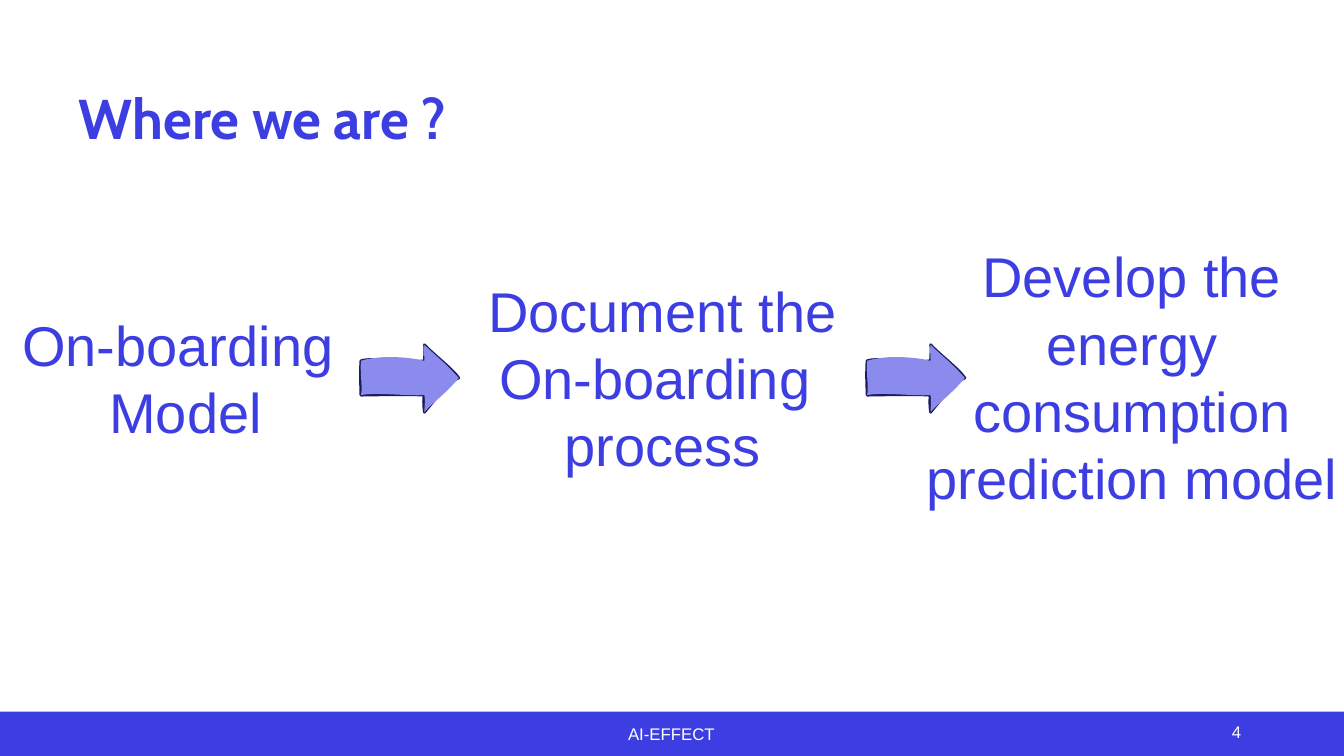
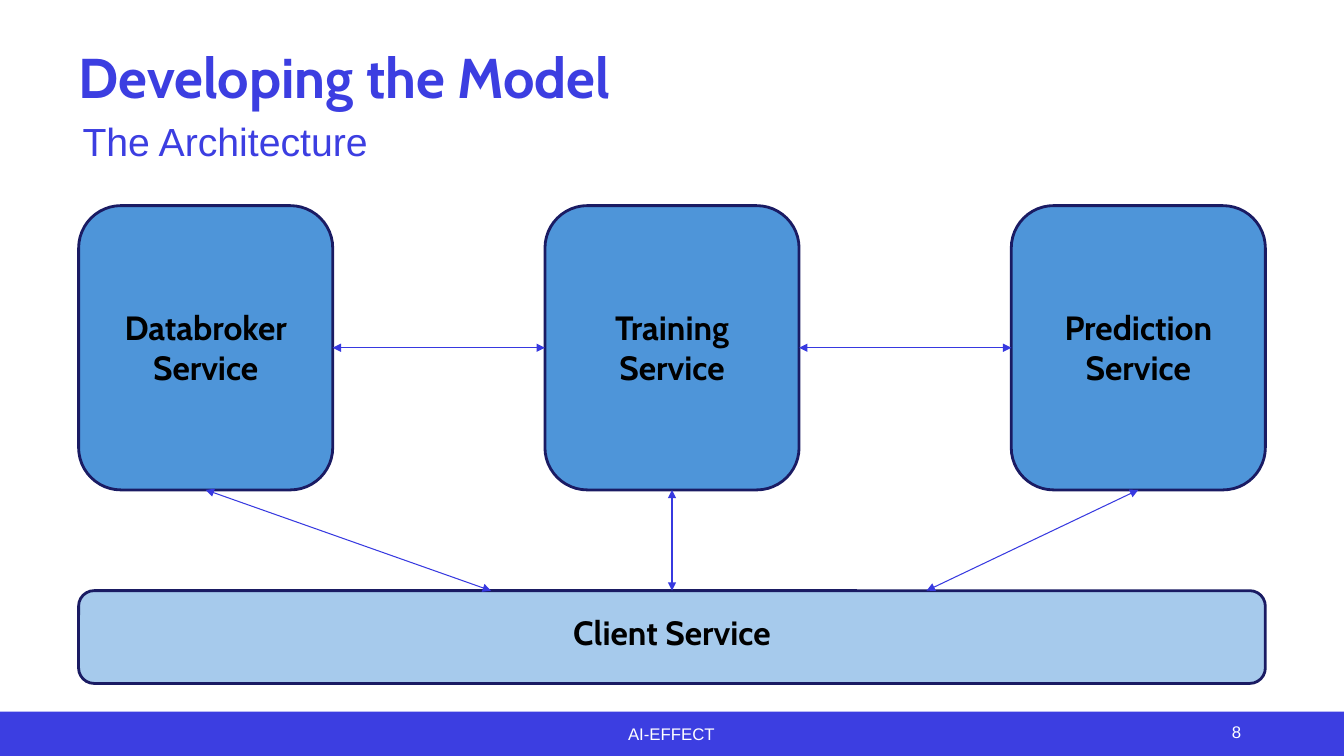
from dataclasses import dataclass

from lxml import etree
from pptx import Presentation
from pptx.dml.color import RGBColor
from pptx.enum import shapes, text
from pptx.oxml.ns import qn
from pptx.util import Inches, Pt


@dataclass(frozen=True)
class Theme:
    primary: RGBColor = RGBColor(0x3C, 0x3E, 0xE1)
    connector: RGBColor = RGBColor(0x37, 0x39, 0xE0)
    outline: RGBColor = RGBColor(0x1A, 0x1B, 0x63)
    arrow: RGBColor = RGBColor(0x8A, 0x8B, 0xED)
    service: RGBColor = RGBColor(0x4E, 0x95, 0xD9)
    client: RGBColor = RGBColor(0xA6, 0xCA, 0xEC)
    white: RGBColor = RGBColor(0xFF, 0xFF, 0xFF)
    black: RGBColor = RGBColor(0, 0, 0)
    heading_font: str = "Cabin"
    body_font: str = "Arial"
    title_size: int = 40
    step_size: int = 40
    subtitle_size: int = 28
    label_size: int = 24
    footer_size: int = 12


THEME = Theme()
WIDTH, HEIGHT = 13.33, 7.5
MARGIN = 0.78
CENTER, LEFT, RIGHT = (text.PP_ALIGN.CENTER, text.PP_ALIGN.LEFT,
                       text.PP_ALIGN.RIGHT)
MIDDLE, TOP = text.MSO_ANCHOR.MIDDLE, text.MSO_ANCHOR.TOP
TOP_SITE, LEFT_SITE, BOTTOM_SITE, RIGHT_SITE = range(4)

# Hand-drawn arrow in hundredths of an inch from its top left corner: a start
# point, then cubic curves given as two control points and an end point.
ARROW_START = (0, 16)
ARROW_OUTLINE = [
    ((12, 12), (36, 19), (63, 16)),
    ((63, 14), (64, 2), (63, 0)),
    ((71, 9), (91, 24), (97, 33)),
    ((88, 36), (77, 50), (63, 67)),
    ((62, 60), (62, 52), (63, 50)),
    ((41, 49), (9, 50), (0, 50)),
    ((0, 42), (-1, 32), (0, 16)),
]
ARROW_FILL = [
    ((15, 11), (42, 11), (63, 16)),
    ((63, 9), (62, 6), (63, 0)),
    ((77, 14), (82, 16), (97, 33)),
    ((83, 50), (70, 58), (63, 67)),
    ((63, 59), (64, 57), (63, 50)),
    ((44, 51), (15, 47), (0, 50)),
    ((2, 43), (-1, 30), (0, 16)),
]


def write(tf, lines, size, color, font=THEME.body_font, bold=False,
          align=CENTER):
    for i, line in enumerate(lines):
        p = tf.add_paragraph() if i else tf.paragraphs[0]
        p.alignment = align
        r = p.add_run()
        r.text = line
        r.font.size = Pt(size)
        r.font.name = font
        r.font.bold = bold
        r.font.color.rgb = color


def add_text(slide, box, lines, size, color=THEME.primary, align=CENTER,
             anchor=TOP, wrap=True, grow=True):
    tf = slide.shapes.add_textbox(*map(Inches, box)).text_frame
    tf.word_wrap = wrap
    tf.vertical_anchor = anchor
    if grow:
        tf.auto_size = text.MSO_AUTO_SIZE.SHAPE_TO_FIT_TEXT
    write(tf, lines, size, color, align=align)


def style(sp, fill, line=None):
    """Set the fill and, if given, a 2 pt outline."""
    sp.shadow.inherit = False
    sp.fill.solid()
    sp.fill.fore_color.rgb = fill
    if line is None:
        sp.line.fill.background()
    else:
        sp.line.color.rgb = line
        sp.line.width = Pt(2)


def add_slide(prs, title, title_top, title_width, number):
    """Add a slide with its title and the shared footer band."""
    slide = prs.slides.add_slide(prs.slide_layouts[5])
    sp = slide.shapes.title
    sp.left, sp.top, sp.width, sp.height = map(
        Inches, (MARGIN, title_top, title_width, 0.79))
    tf = sp.text_frame
    tf.margin_left = tf.margin_right = tf.margin_top = tf.margin_bottom = 0
    tf.vertical_anchor = TOP
    tf.auto_size = text.MSO_AUTO_SIZE.NONE
    write(tf, [title], THEME.title_size, THEME.primary, THEME.heading_font,
          bold=True, align=LEFT)
    tf.paragraphs[0].line_spacing = Pt(55.5)

    band = slide.shapes.add_shape(
        shapes.MSO_SHAPE.RECTANGLE,
        *map(Inches, (0, 7.06, WIDTH, HEIGHT - 7.06)))
    style(band, THEME.primary)
    for box, label, align in (((9.41, 7.06, 3, 0.4), str(number), RIGHT),
                              ((4.41, 7.08, 4.5, 0.4), "AI-EFFECT", CENTER)):
        add_text(slide, box, [label], THEME.footer_size, THEME.white, align,
                 MIDDLE, grow=False)
    return slide


def add_curved_path(path_list, curves, **attributes):
    """Append a closed path of cubic curves to a freeform's path list."""
    path = etree.SubElement(path_list, qn("a:path"), w="97", h="67",
                            **attributes)
    for tag, points in [("a:moveTo", [ARROW_START])] + [
            ("a:cubicBezTo", curve) for curve in curves]:
        command = etree.SubElement(path, qn(tag))
        for x, y in points:
            etree.SubElement(command, qn("a:pt"), x=str(x), y=str(y))
    etree.SubElement(path, qn("a:close"))


def add_sketch_arrow(slide, left, top):
    """Draw one freeform whose outline and fill follow different curves."""
    builder = slide.shapes.build_freeform(*ARROW_START, scale=Inches(0.01))
    builder.add_line_segments([curve[-1] for curve in ARROW_OUTLINE])
    sp = builder.convert_to_shape(Inches(left), Inches(top))
    style(sp, THEME.arrow, THEME.outline)
    path_list = sp._element.spPr.find(".//" + qn("a:pathLst"))
    for straight in list(path_list):
        path_list.remove(straight)
    add_curved_path(path_list, ARROW_OUTLINE, fill="none")
    add_curved_path(path_list, ARROW_FILL, stroke="0")


def add_service(slide, box, label, fill, bottom_inset=0.07):
    sp = slide.shapes.add_shape(shapes.MSO_SHAPE.ROUNDED_RECTANGLE,
                                *map(Inches, box))
    style(sp, fill, THEME.outline)
    tf = sp.text_frame
    tf.word_wrap = True
    tf.vertical_anchor = MIDDLE
    tf.margin_bottom = Inches(bottom_inset)
    write(tf, [label], THEME.label_size, THEME.black, THEME.heading_font,
          bold=True)
    return sp


def add_link(slide, source, source_site, end, target=None, target_site=None):
    """Draw a two-headed line from a shape to a point or another shape."""
    line = slide.shapes.add_connector(
        shapes.MSO_CONNECTOR.STRAIGHT, 0, 0, *map(Inches, end))
    line.begin_connect(source, source_site)
    if target is not None:
        line.end_connect(target, target_site)
    line.line.color.rgb = THEME.connector
    line.line.width = Pt(0.75)
    ln = line.line._get_or_add_ln()
    for tag in ("a:headEnd", "a:tailEnd"):
        etree.SubElement(ln, qn(tag), type="triangle")
    etree.SubElement(line._element.spPr, qn("a:effectLst"))


def build_roadmap(prs):
    slide = add_slide(prs, "Where we are ?", 0.72, 7.02, 4)
    steps = [
        ((0.1, 3.03, 3.48, 1.45), ["On-boarding ", "Model"], False),
        ((4.64, 2.69, 3.86, 2.12),
         ["Document the On-boarding ", "process"], True),
        ((8.86, 2.35, 4.73, 2.79),
         ["Develop the energy consumption prediction model"], True),
    ]
    for left in (3.58, 8.6):
        add_sketch_arrow(slide, left, 3.42)
    for box, lines, wrap in steps:
        add_text(slide, box, lines, THEME.step_size, wrap=wrap)


def build_architecture(prs):
    slide = add_slide(prs, "Developing the Model", 0.32, 10.62, 8)
    add_text(slide, (0.72, 1.11, 3.81, 0.57), ["The Architecture"],
             THEME.subtitle_size, align=LEFT)

    names = ["Databroker Service", "Training Service", "Prediction Service"]
    total, width, top, height = 11.77, 2.52, 2.04, 2.82
    pitch = (total - width) / (len(names) - 1)
    services = [
        add_service(slide, (MARGIN + i * pitch, top, width, height), name,
                    THEME.service)
        for i, name in enumerate(names)]
    client_top = 5.86
    client = add_service(slide, (MARGIN, client_top, total, 0.92),
                         "Client Service", THEME.client, bottom_inset=0.15)

    for a, b in zip(services, services[1:]):
        add_link(slide, a, RIGHT_SITE, (0, 0), b, LEFT_SITE)
    databroker, training, prediction = services
    add_link(slide, training, BOTTOM_SITE, (0, 0), client, TOP_SITE)
    add_link(slide, databroker, BOTTOM_SITE, (4.87, client_top))
    add_link(slide, prediction, BOTTOM_SITE, (9.19, client_top))


def main():
    prs = Presentation()
    prs.slide_width, prs.slide_height = Inches(WIDTH), Inches(HEIGHT)
    build_roadmap(prs)
    build_architecture(prs)
    prs.save("out.pptx")


if __name__ == "__main__":
    main()
